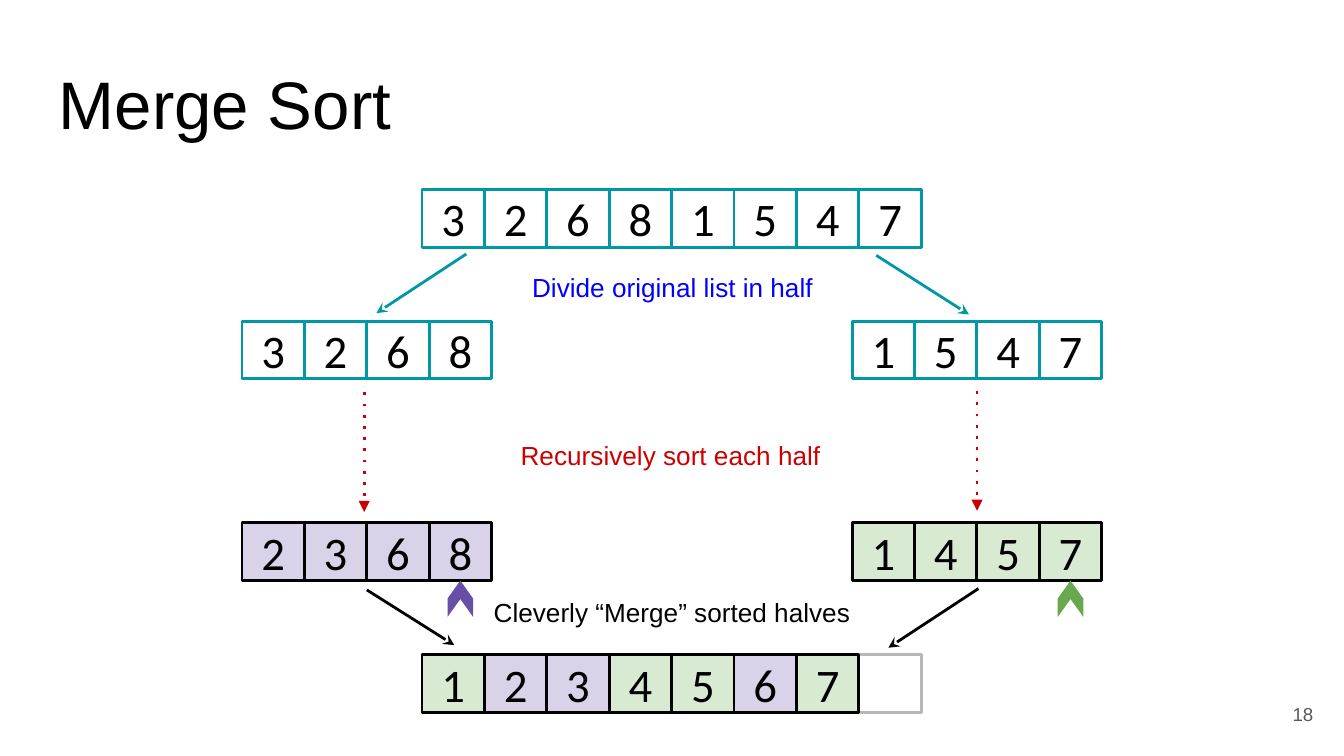
from lxml import etree
from pptx import Presentation
from pptx.dml.color import RGBColor
from pptx.enum import dml, shapes, text
from pptx.oxml.ns import qn
from pptx.util import Inches, Pt

BLACK = RGBColor(0, 0, 0)
WHITE = RGBColor(255, 255, 255)
TEAL = RGBColor(0x00, 0x97, 0xA7)
RED = RGBColor(0xCC, 0x00, 0x00)
BLUE = RGBColor(0x00, 0x00, 0xFF)
GRAY = RGBColor(0x59, 0x59, 0x59)
SILVER = RGBColor(0xB7, 0xB7, 0xB7)
LILAC = RGBColor(0xD9, 0xD2, 0xE9)
MINT = RGBColor(0xD9, 0xEA, 0xD3)
PURPLE = RGBColor(0x67, 0x4E, 0xA7)
GREEN = RGBColor(0x6A, 0xA8, 0x4F)
LEFT, CENTER, RIGHT = text.PP_ALIGN.LEFT, text.PP_ALIGN.CENTER, text.PP_ALIGN.RIGHT
SIDE, HIGH = 3.25 / 7, 0.43

deck = Presentation()
deck.slide_width = Inches(10)
deck.slide_height = Inches(10 * 9 / 16)
slide = deck.slides.add_slide(deck.slide_layouts[6])
items = slide.shapes


def write(shape, words, size, face, color, align):
    frame = shape.text_frame
    frame.text = words
    frame.word_wrap = True
    frame.vertical_anchor = text.MSO_ANCHOR.MIDDLE
    frame.margin_left = frame.margin_right = Inches(0.1)
    frame.margin_top = frame.margin_bottom = Inches(0.1)
    line = frame.paragraphs[0]
    line.alignment = align
    font = line.runs[0].font
    font.size, font.name = Pt(size), face
    font.color.rgb = color


def draw(kind, x, y, w, h, fill, edge):
    shape = items.add_shape(kind, Inches(x), Inches(y), Inches(w), Inches(h))
    shape.shadow.inherit = False
    if fill is None:
        shape.fill.background()
    else:
        shape.fill.solid()
        shape.fill.fore_color.rgb = fill
    if edge is None:
        shape.line.fill.background()
    else:
        shape.line.color.rgb = edge
        shape.line.width = Pt(1.5)
    return shape


RECT = shapes.MSO_SHAPE.RECTANGLE
draw(RECT, 3.14 + 7 * SIDE, 4.87, SIDE, HIGH, None, SILVER)

merged = [MINT, LILAC, LILAC, MINT, MINT, LILAC, MINT]
lists = [
    (3.14, 1.41, "32681547", [WHITE] * 8, TEAL),
    (1.8, 2.39, "3268", [WHITE] * 4, TEAL),
    (6.34, 2.39, "1547", [WHITE] * 4, TEAL),
    (1.8, 3.89, "2368", [LILAC] * 4, BLACK),
    (6.34, 3.89, "1457", [MINT] * 4, BLACK),
    (3.14, 4.87, "1234567", merged, BLACK),
]
for x, y, digits, fills, edge in lists:
    for i, (digit, fill) in enumerate(zip(digits, fills)):
        cell = draw(RECT, x + i * SIDE, y, SIDE, HIGH, fill, edge)
        write(cell, digit, 25, "Calibri", BLACK, CENTER)

arrows = [
    (3.47, 1.89, 2.8, 2.33, TEAL, "stealth"),
    (6.52, 1.9, 7.21, 2.34, TEAL, "stealth"),
    (2.71, 2.92, 2.71, 3.81, RED, "triangle"),
    (7.27, 2.91, 7.27, 3.8, RED, "triangle"),
    (2.73, 4.39, 3.38, 4.8, BLACK, "stealth"),
    (7.28, 4.38, 6.61, 4.82, BLACK, "stealth"),
]
for x, y, endx, endy, color, head in arrows:
    arrow = items.add_connector(
        shapes.MSO_CONNECTOR.STRAIGHT, Inches(x), Inches(y), Inches(endx), Inches(endy)
    )
    arrow.line.color.rgb = color
    arrow.line.width = Pt(1.5)
    if color == RED:
        arrow.line.dash_style = dml.MSO_LINE.ROUND_DOT
        arrow.line._ln.find(qn("a:prstDash")).set("val", "dot")
    etree.SubElement(arrow.line._ln, qn("a:tailEnd"), type=head)
    etree.SubElement(arrow._element.spPr, qn("a:effectLst"))

for x, color in [(3.29, PURPLE), (7.83, GREEN)]:
    mark = draw(shapes.MSO_SHAPE.CHEVRON, x, 4.36, 0.27, 0.19, color, None)
    mark.rotation = 270
    mark.adjustments[0] = 0.7

labels = [
    (0.34, 0.41, 9.32, 0.71, "Merge Sort", 36, BLACK, LEFT),
    (3.64, 1.97, 2.73, 0.33, "Divide original list in half", 14, BLUE, CENTER),
    (3.18, 3.2, 3.62, 0.37, "Recursively sort each half", 14, RED, CENTER),
    (3.19, 4.39, 3.62, 0.33, "Cleverly “Merge” sorted halves", 14, BLACK, CENTER),
    (9.27, 5.1, 0.6, 0.43, "18", 10, GRAY, RIGHT),
]
for x, y, w, h, words, size, color, align in labels:
    box = items.add_textbox(Inches(x), Inches(y), Inches(w), Inches(h))
    write(box, words, size, "Arial", color, align)

deck.save("out.pptx")
